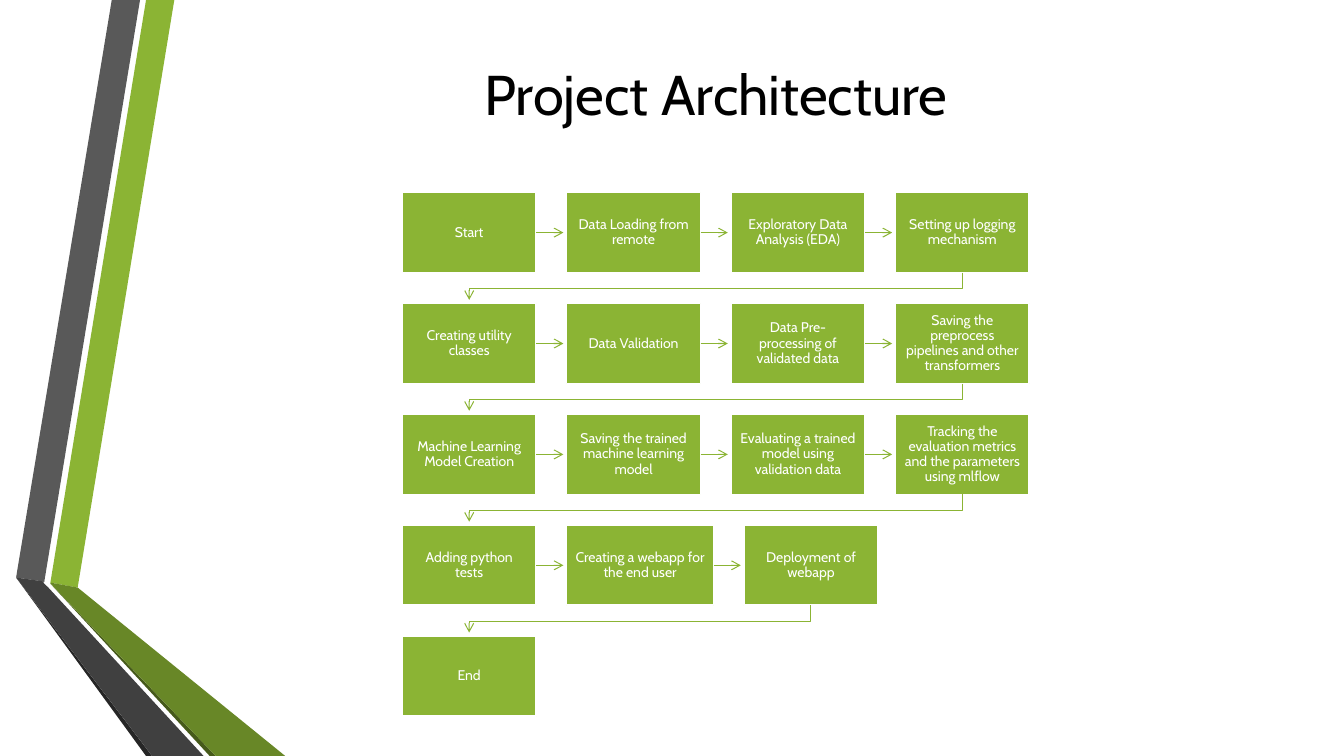
import pptx
import pptx.dml.color
import pptx.enum.shapes
import pptx.enum.text
import pptx.oxml.ns
import pptx.util
from lxml import etree

THEME = {
    "font": "Cabin",
    "title_size": 40,
    "step_size": 10,
    "black": "000000",
    "white": "FFFFFF",
    "green": "8BB434",
    "olive": "688727",
    "dark_olive": "465A1A",
    "gray": "595959",
    "charcoal": "404040",
    "near_black": "262626",
}

RIBBONS = [
    ("green", [(3.75, 77.07), (5.78, 77.73), (12.97, 0), (10.87, 0)]),
    ("gray", [(10.42, 0), (8.32, 0), (1.2, 76.4), (3.3, 76.93)]),
    ("near_black", [(1.2, 76.4), (10.87, 100), (11.32, 100)]),
    ("dark_olive", [(3.75, 77.2), (15.6, 100), (16.05, 100)]),
    ("olive", [(3.75, 77.07), (3.75, 77.2), (16.05, 100), (21.22, 100), (5.78, 77.73)]),
    ("charcoal", [(15.15, 100), (3.6, 77.73), (3.22, 77.07), (3.3, 76.93), (1.2, 76.4), (11.32, 100)]),
]

STEP_ROWS = [
    ["Start", "Data Loading from remote", "Exploratory Data Analysis (EDA)",
     "Setting up logging mechanism"],
    ["Creating utility classes", "Data Validation", "Data Pre-processing of validated data",
     "Saving the preprocess pipelines and other transformers"],
    ["Machine Learning Model Creation", "Saving the trained machine learning model",
     "Evaluating a trained model using validation data",
     "Tracking the evaluation metrics and the parameters using mlflow"],
    ["Adding python tests", "Creating a webapp for the end user", "Deployment of webapp"],
    ["End"],
]
WIDE_STEP = "Creating a webapp for the end user"

FLOW_LEFT, FLOW_TOP = 29.92, 25.47
STEP_WIDTH, WIDE_WIDTH, STEP_HEIGHT = 9.98, 10.95, 10.6
COLUMN_GAP, ROW_PITCH = 2.25, 14.67
ARROW_LENGTH, BEND_DROP, TIP_DROP = 2.02, 2.13, 3.6

deck = pptx.Presentation()
deck.slide_width = pptx.util.Inches(13.33)
deck.slide_height = pptx.util.Inches(7.5)
slide = deck.slides.add_slide(deck.slide_layouts[5])


def place(*shares):
    sides = (deck.slide_width, deck.slide_height)
    return [round(share * sides[i % 2] / 100) for i, share in enumerate(shares)]


def write(frame, text, size, color, inset=0.08, spacing=1.0):
    frame.text = text
    frame.word_wrap = True
    frame.auto_size = pptx.enum.text.MSO_AUTO_SIZE.NONE
    frame.vertical_anchor = pptx.enum.text.MSO_ANCHOR.MIDDLE
    frame.margin_left = frame.margin_right = pptx.util.Inches(inset)
    frame.margin_top = frame.margin_bottom = pptx.util.Inches(inset)
    paragraph = frame.paragraphs[0]
    paragraph.alignment = pptx.enum.text.PP_ALIGN.CENTER
    paragraph.line_spacing = spacing
    paragraph.font.name = THEME["font"]
    paragraph.font.size = pptx.util.Pt(size)
    paragraph.font.color.rgb = pptx.dml.color.RGBColor.from_string(THEME[color])


for color, corners in RIBBONS:
    points = [place(*corner) for corner in corners]
    builder = slide.shapes.build_freeform(*points[0])
    builder.add_line_segments(points[1:])
    ribbon = builder.convert_to_shape()
    ribbon.shadow.inherit = False
    ribbon.fill.solid()
    ribbon.fill.fore_color.rgb = pptx.dml.color.RGBColor.from_string(THEME[color])
    ribbon.line.fill.background()

title = slide.shapes.title
title.left, title.top, title.width, title.height = place(12.15, 5.73, 82.22, 13.2)
write(title.text_frame, "Project Architecture", size=THEME["title_size"], color="black")

arrows = []
for row, steps in enumerate(STEP_ROWS):
    left = FLOW_LEFT
    top = FLOW_TOP + row * ROW_PITCH
    middle, bottom = top + STEP_HEIGHT / 2, top + STEP_HEIGHT
    for step in steps:
        width = WIDE_WIDTH if step == WIDE_STEP else STEP_WIDTH
        box = slide.shapes.add_shape(
            pptx.enum.shapes.MSO_SHAPE.RECTANGLE, *place(left, top, width, STEP_HEIGHT))
        box.shadow.inherit = False
        box.fill.solid()
        box.fill.fore_color.rgb = pptx.dml.color.RGBColor.from_string(THEME["green"])
        box.line.color.rgb = pptx.dml.color.RGBColor.from_string(THEME["white"])
        box.line.width = pptx.util.Pt(1.25)
        write(box.text_frame, step, size=THEME["step_size"], color="white", spacing=0.9)
        right = left + width
        if step != steps[-1]:
            arrow = slide.shapes.add_connector(
                pptx.enum.shapes.MSO_CONNECTOR.STRAIGHT,
                *place(right, middle, right + ARROW_LENGTH, middle))
            arrow.begin_connect(box, 3)
            arrows.append(arrow)
        elif row < len(STEP_ROWS) - 1:
            source, target = left + width / 2, FLOW_LEFT + STEP_WIDTH / 2
            builder = slide.shapes.build_freeform(*place(source, bottom))
            builder.add_line_segments(
                [place(source, bottom + BEND_DROP), place(target, bottom + BEND_DROP),
                 place(target, bottom + TIP_DROP)], close=False)
            return_arrow = builder.convert_to_shape()
            return_arrow.fill.background()
            arrows.append(return_arrow)
        left = right + COLUMN_GAP

for arrow in arrows:
    arrow.line.color.rgb = pptx.dml.color.RGBColor.from_string(THEME["green"])
    arrow.line.width = pptx.util.Pt(0.75)
    properties = arrow._element.spPr
    stroke = properties.find(pptx.oxml.ns.qn("a:ln"))
    etree.SubElement(stroke, pptx.oxml.ns.qn("a:tailEnd"), type="arrow")
    etree.SubElement(properties, pptx.oxml.ns.qn("a:effectLst"))

deck.save("out.pptx")
